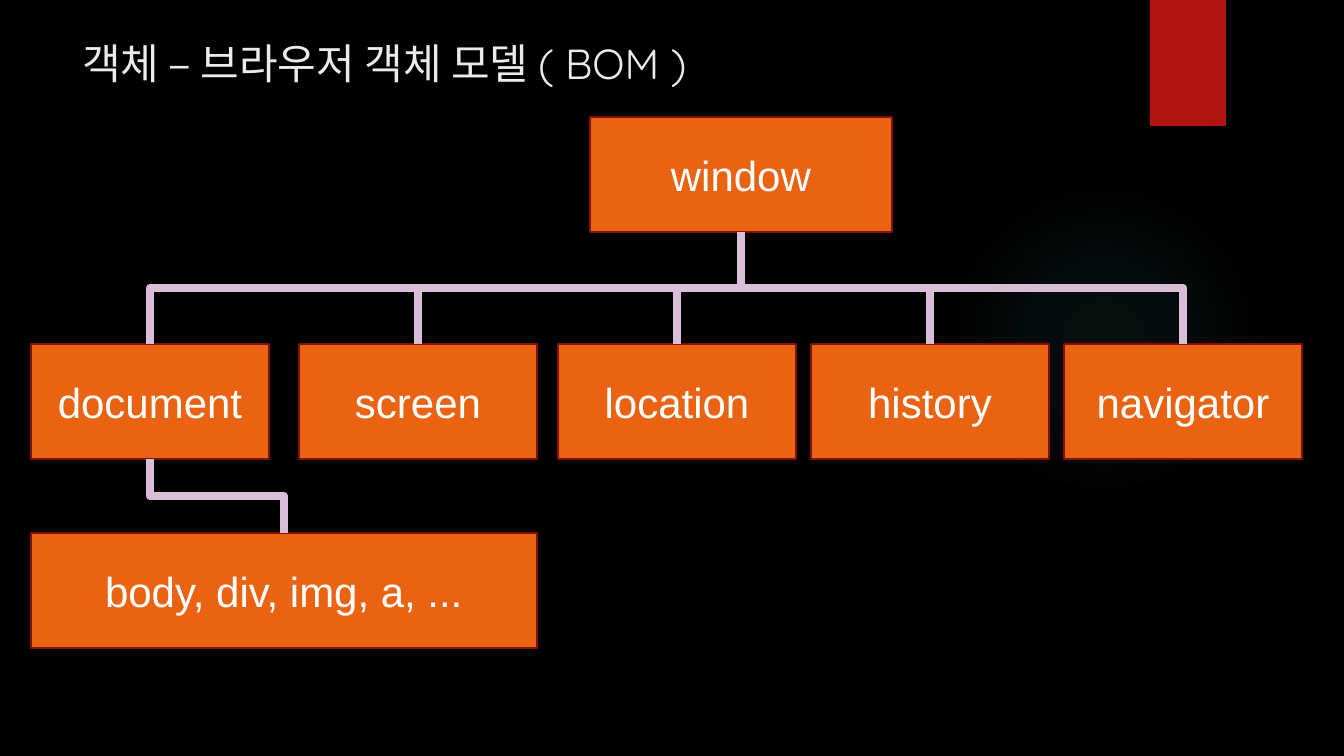
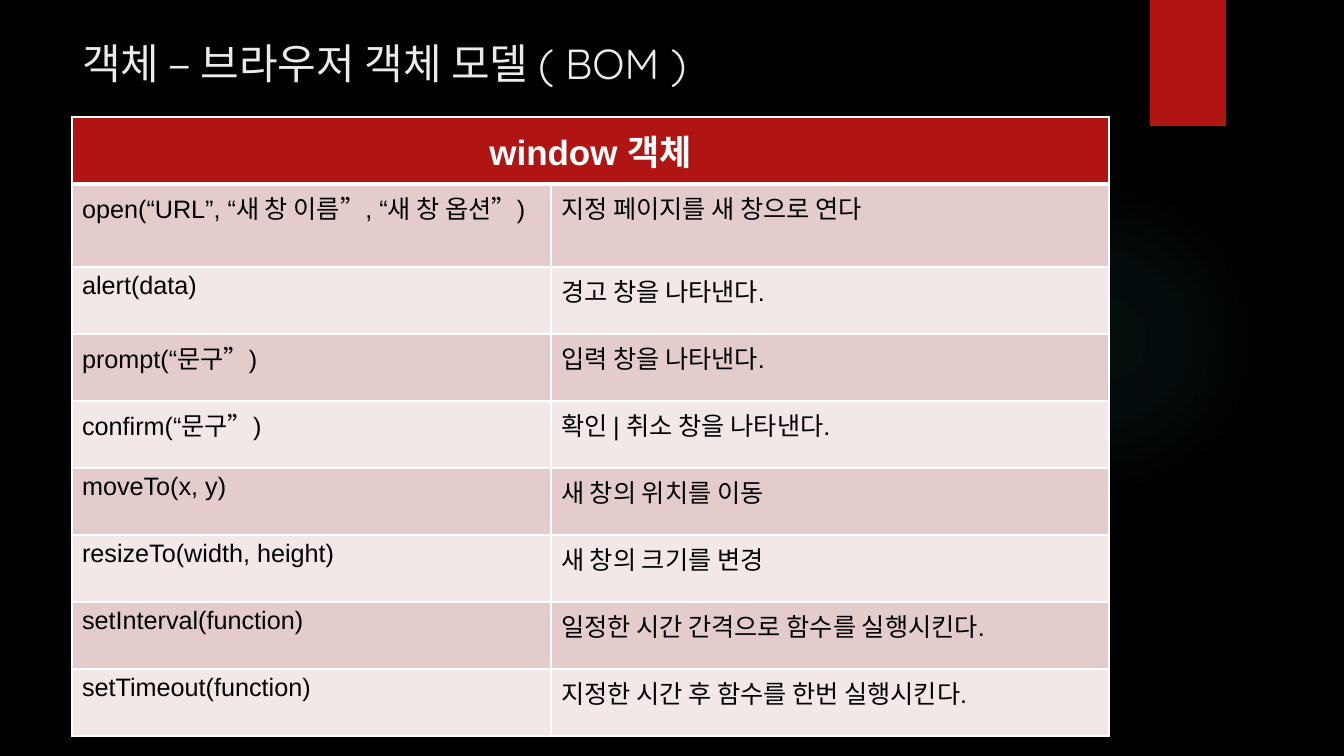
import dataclasses
import typing

import lxml.etree
import pptx
import pptx.dml.color
import pptx.enum.shapes
import pptx.enum.text
import pptx.oxml
import pptx.oxml.ns
import pptx.shapes.autoshape
import pptx.slide
import pptx.table
import pptx.text.text
import pptx.util

SCALE = 12192000 / 1344
SHAPE = pptx.enum.shapes.MSO_SHAPE
ALIGN = pptx.enum.text.PP_ALIGN
ANCHOR = pptx.enum.text.MSO_ANCHOR
NS = 'xmlns:a="http://schemas.openxmlformats.org/drawingml/2006/main"'


@dataclasses.dataclass(frozen=True)
class Theme:
    back: str = "000000"
    red: str = "B01513"
    glow: str = "50B9C1"
    title: str = "EBEBEB"
    box: str = "EA6312"
    edge: str = "82100E"
    link: str = "D9BED7"
    white: str = "FFFFFF"
    ink: str = "000000"
    bands: tuple[str, str] = ("E4CCCC", "F2E8E7")
    head: str = "Quicksand"
    body: str = "Arial"
    large: int = 30
    medium: int = 25
    small: int = 18
    thin: float = 1.5
    thick: int = 6


@dataclasses.dataclass(frozen=True)
class Box:
    text: str
    left: int
    top: int
    width: int = 238
    height: int = 115


@dataclasses.dataclass(frozen=True)
class Method:
    call: str
    note: str


THEME = Theme()
TITLE = "객체 – 브라우저 객체 모델 ( BOM )"
ROOT = Box("window", 590, 117, 302)
LEAF = Box("body, div, img, a, ...", 31, 533, 506)
PARTS = [
    Box(name, left, 344)
    for name, left in [
        ("document", 31),
        ("screen", 299),
        ("location", 558),
        ("history", 811),
        ("navigator", 1064),
    ]
]
METHODS = [
    Method("open(“URL”, “새 창 이름”, “새 창 옵션”)", "지정 페이지를 새 창으로 연다"),
    Method("alert(data)", "경고 창을 나타낸다."),
    Method("prompt(“문구”)", "입력 창을 나타낸다."),
    Method("confirm(“문구”)", "확인 | 취소 창을 나타낸다."),
    Method("moveTo(x, y)", "새 창의 위치를 이동"),
    Method("resizeTo(width, height)", "새 창의 크기를 변경"),
    Method("setInterval(function)", "일정한 시간 간격으로 함수를 실행시킨다."),
    Method("setTimeout(function)", "지정한 시간 후 함수를 한번 실행시킨다."),
]


def px(*sizes: int) -> list[int]:
    return [round(size * SCALE) for size in sizes]


def rgb(color: str) -> pptx.dml.color.RGBColor:
    return pptx.dml.color.RGBColor.from_string(color)


def write(
    frame: pptx.text.text.TextFrame,
    text: str,
    *,
    size: int,
    color: str,
    face: str = THEME.body,
    bold: bool = False,
    align: typing.Any = ALIGN.LEFT,
) -> None:
    line = frame.paragraphs[0]
    line.alignment = align
    run = line.add_run()
    run.text = text
    font = run.font
    font.name, font.size, font.bold = face, pptx.util.Pt(size), bold
    font.color.rgb = rgb(color)


def draw(
    slide: pptx.slide.Slide,
    kind: typing.Any,
    place: tuple[int, int, int, int],
    fill: str,
    edge: str | None = None,
) -> pptx.shapes.autoshape.Shape:
    shape = slide.shapes.add_shape(kind, *px(*place))
    shape.shadow.inherit = False
    shape.fill.solid()
    shape.fill.fore_color.rgb = rgb(fill)
    if edge:
        shape.line.color.rgb = rgb(edge)
        shape.line.width = pptx.util.Pt(THEME.thin)
    else:
        shape.line.fill.background()
    return shape


def shine(slide: pptx.slide.Slide) -> None:
    glow = draw(slide, SHAPE.OVAL, (949, 184, 310, 310), THEME.glow)
    stops = "".join(
        f'<a:gs pos="{pos}000"><a:srgbClr val="{THEME.glow}">'
        f'<a:alpha val="{alpha}000"/></a:srgbClr></a:gs>'
        for pos, alpha in [(0, 7), (36, 6), (69, 0)]
    )
    grad = pptx.oxml.parse_xml(
        f'<a:gradFill {NS}><a:gsLst>{stops}</a:gsLst><a:path path="circle">'
        '<a:fillToRect l="50000" t="50000" r="50000" b="50000"/></a:path></a:gradFill>'
    )
    props = glow._element.spPr
    props.replace(props.find(pptx.oxml.ns.qn("a:solidFill")), grad)


def stage(deck: typing.Any) -> pptx.slide.Slide:
    slide = deck.slides.add_slide(deck.slide_layouts[5])
    shine(slide)
    draw(slide, SHAPE.RECTANGLE, (1150, 0, 76, 126), THEME.red)
    title = slide.shapes.title
    title.left, title.top, title.width, title.height = px(72, 32, 1037, 85)
    frame = title.text_frame
    frame.word_wrap = True
    frame.auto_size = pptx.enum.text.MSO_AUTO_SIZE.NONE
    frame.vertical_anchor = ANCHOR.TOP
    write(frame, TITLE, size=THEME.large, color=THEME.title, face=THEME.head)
    return slide


def node(slide: pptx.slide.Slide, box: Box) -> pptx.shapes.autoshape.Shape:
    place = (box.left, box.top, box.width, box.height)
    shape = draw(slide, SHAPE.RECTANGLE, place, THEME.box, THEME.edge)
    shape.text_frame.vertical_anchor = ANCHOR.MIDDLE
    write(
        shape.text_frame,
        box.text,
        size=THEME.large,
        color=THEME.white,
        align=ALIGN.CENTER,
    )
    return shape


def join(
    slide: pptx.slide.Slide,
    upper: pptx.shapes.autoshape.Shape,
    lower: pptx.shapes.autoshape.Shape,
) -> None:
    """Link two boxes by an elbow that is turned a quarter so it leaves downward."""
    link = slide.shapes.add_connector(pptx.enum.shapes.MSO_CONNECTOR.ELBOW, 0, 0, 0, 0)
    link.begin_connect(upper, 2)
    link.end_connect(lower, 0)
    right = link.end_x > link.begin_x
    wide, high = link.width, link.height
    link.left += (wide - high) // 2
    link.top += (high - wide) // 2
    link.width, link.height = high, wide
    props = link._element.spPr
    turn = props.find(pptx.oxml.ns.qn("a:xfrm"))
    turn.set("rot", "16200000" if right else "5400000")
    turn.set("flipH", "1" if right else "0")
    link.line.color.rgb = rgb(THEME.link)
    link.line.width = pptx.util.Pt(THEME.thick)
    lxml.etree.SubElement(props, pptx.oxml.ns.qn("a:effectLst"))


def frame(cell: pptx.table._Cell, fill: str, top: int = 1, base: int = 1) -> None:
    cell.fill.solid()
    cell.fill.fore_color.rgb = rgb(fill)
    props = cell._tc.get_or_add_tcPr()
    for spot, (side, size) in enumerate(zip("LRTB", (1, 1, top, base))):
        edge = pptx.oxml.parse_xml(
            f'<a:ln{side} {NS} w="{pptx.util.Pt(size)}"><a:solidFill>'
            f'<a:srgbClr val="{THEME.white}"/></a:solidFill></a:ln{side}>'
        )
        props.insert(spot, edge)


def tree(slide: pptx.slide.Slide) -> None:
    root = node(slide, ROOT)
    parts = [node(slide, box) for box in PARTS]
    leaf = node(slide, LEAF)
    for part in parts:
        join(slide, root, part)
    join(slide, parts[0], leaf)


def chart(slide: pptx.slide.Slide) -> None:
    count = len(METHODS) + 1
    place = px(72, 117, 1037, 67 * count)
    grid = slide.shapes.add_table(count, 2, *place).table
    for column, width in zip(grid.columns, px(479, 558)):
        column.width = width
    for row in grid.rows:
        row.height = px(67)[0]
    for cell in grid.rows[0].cells:
        frame(cell, THEME.red, base=3)
    head = grid.cell(0, 0)
    head.merge(grid.cell(0, 1))
    head.vertical_anchor = ANCHOR.MIDDLE
    write(
        head.text_frame,
        "window 객체",
        size=THEME.medium,
        color=THEME.white,
        bold=True,
        align=ALIGN.CENTER,
    )
    for index, method in enumerate(METHODS):
        for side, text in enumerate((method.call, method.note)):
            cell = grid.cell(index + 1, side)
            frame(cell, THEME.bands[index % 2], top=1 if index else 3)
            write(cell.text_frame, text, size=THEME.small, color=THEME.ink)


def main() -> None:
    deck = pptx.Presentation()
    deck.slide_width, deck.slide_height = px(1344, 756)
    back = deck.slide_master.background.fill
    back.solid()
    back.fore_color.rgb = rgb(THEME.back)
    for fill in (tree, chart):
        fill(stage(deck))
    deck.save("out.pptx")


main()
